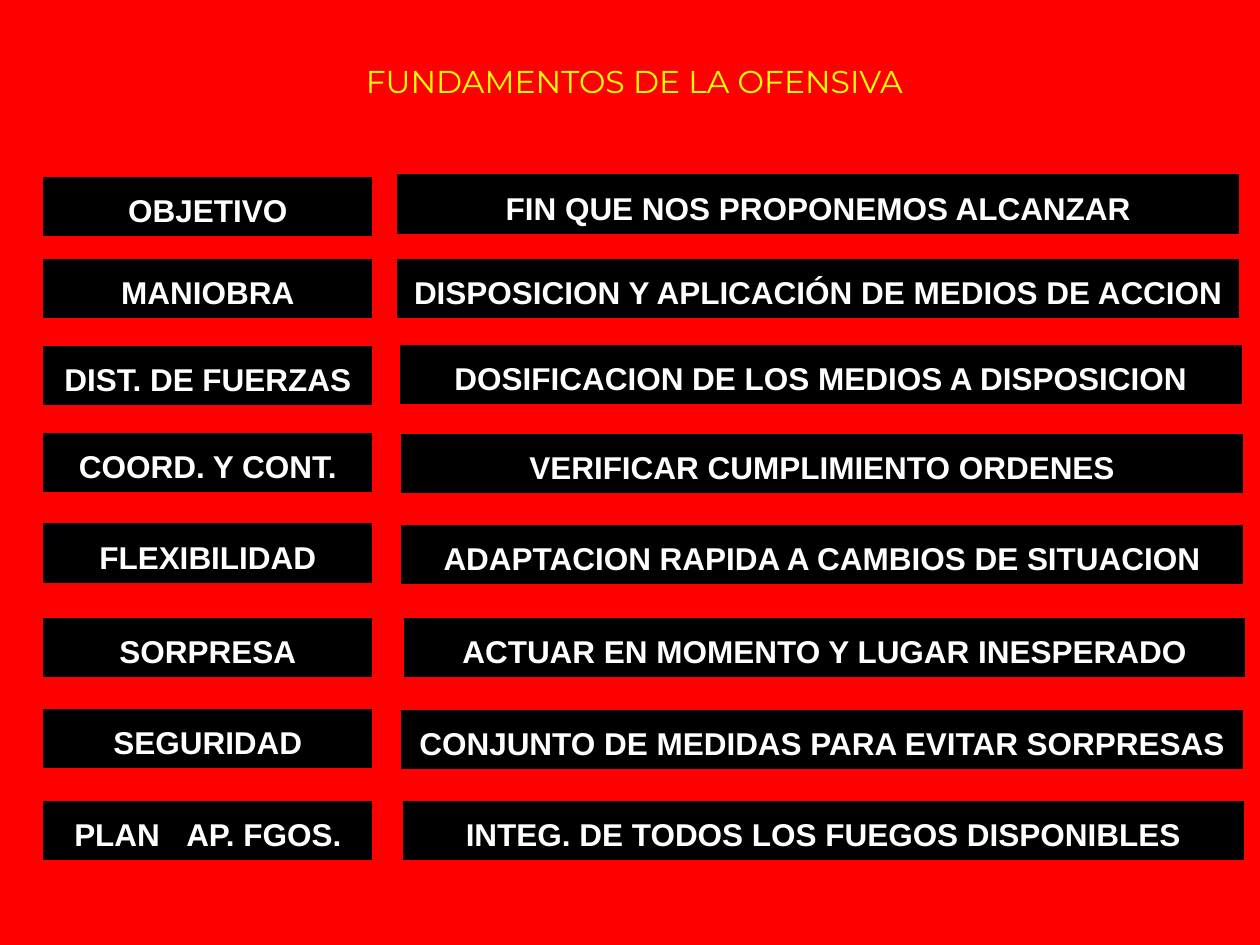
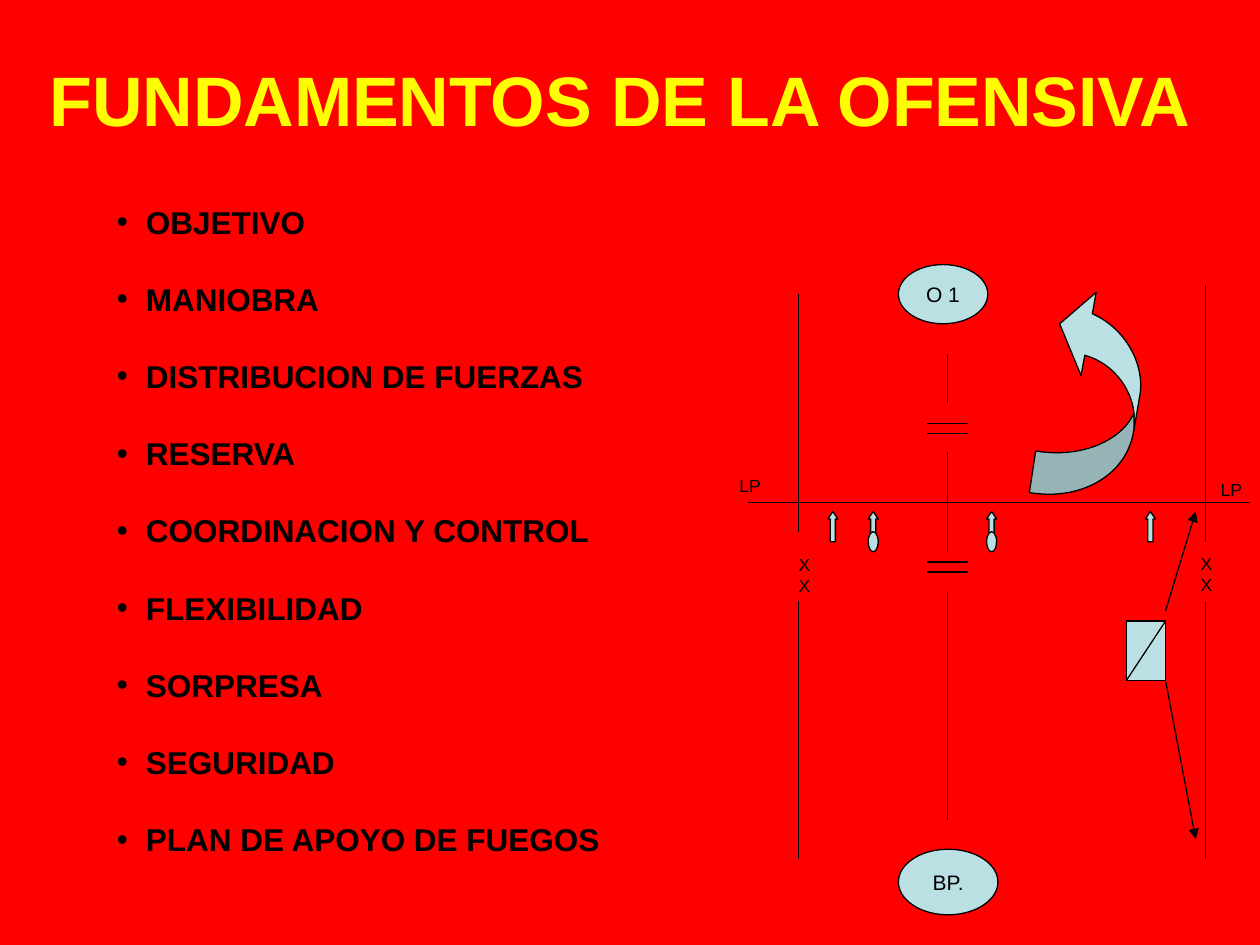
from dataclasses import dataclass

from lxml.etree import SubElement
from pptx import Presentation
from pptx.dml.color import RGBColor
from pptx.enum.shapes import MSO_CONNECTOR, MSO_SHAPE
from pptx.enum.text import MSO_ANCHOR, PP_ALIGN
from pptx.oxml.ns import qn
from pptx.util import Inches, Pt


@dataclass(frozen=True)
class Theme:
    background: str = "FF0000"
    title: str = "FFFF00"
    ink: str = "000000"
    light: str = "FFFFFF"
    symbol: str = "BBE0E3"
    symbol_shade: str = "96B3B6"
    font: str = "Arial"
    display_font: str = "Montserrat"
    headline: int = 40
    body: int = 18
    symbol_text: int = 12
    mark: int = 10
    line: float = 0.75


THEME = Theme()
TITLE = "FUNDAMENTOS DE LA OFENSIVA"

# Term, its top, meaning, its left and top
FUNDAMENTALS = [
    ("OBJETIVO", 1.41, "FIN QUE NOS PROPONEMOS ALCANZAR", 3.16, 1.39),
    ("MANIOBRA", 2.06, "DISPOSICION Y APLICACIÓN DE MEDIOS DE ACCION", 3.16, 2.06),
    ("DIST. DE FUERZAS", 2.75, "DOSIFICACION DE LOS MEDIOS A DISPOSICION", 3.18, 2.74),
    ("COORD. Y CONT.", 3.44, "VERIFICAR CUMPLIMIENTO ORDENES", 3.19, 3.45),
    ("FLEXIBILIDAD", 4.16, "ADAPTACION RAPIDA A CAMBIOS DE SITUACION", 3.19, 4.17),
    ("SORPRESA", 4.91, "ACTUAR EN MOMENTO Y LUGAR INESPERADO", 3.21, 4.91),
    ("SEGURIDAD", 5.63, "CONJUNTO DE MEDIDAS PARA EVITAR SORPRESAS", 3.19, 5.64),
    ("PLAN AP. FGOS.", 6.36, "INTEG. DE TODOS LOS FUEGOS DISPONIBLES", 3.2, 6.36),
]
PRINCIPLES = [
    "OBJETIVO", "MANIOBRA", "DISTRIBUCION DE FUERZAS", "RESERVA",
    "COORDINACION Y CONTROL", "FLEXIBILIDAD", "SORPRESA", "SEGURIDAD",
    "PLAN DE APOYO DE FUEGOS",
]


def color(value):
    return RGBColor.from_string(value)


def add_page(deck):
    page = deck.slides.add_slide(deck.slide_layouts[6])
    page.background.fill.solid()
    page.background.fill.fore_color.rgb = color(THEME.background)
    return page


# Text
def add_span(para, text, size, fill, font, bold):
    span = para.add_run()
    span.text = text
    span.font.size = Pt(size)
    span.font.name = font
    span.font.bold = bold
    span.font.color.rgb = color(fill)
    return span


def write(box, text, size=THEME.body, fill=THEME.ink, font=THEME.font, bold=False,
          align=PP_ALIGN.LEFT, anchor=MSO_ANCHOR.TOP, wrap=False,
          line_spacing=None, space_after=0, bullet_indent=0, first_gap=0):
    """Write one paragraph per line; first_gap widens the first space, in points."""
    frame = box.text_frame
    frame.word_wrap = wrap
    frame.vertical_anchor = anchor
    for index, line in enumerate(text.split("\n")):
        para = frame.add_paragraph() if index else frame.paragraphs[0]
        para.alignment = align
        para.line_spacing = line_spacing
        para.space_after = Pt(space_after)
        if bullet_indent:
            add_bullet(para, bullet_indent)
        for part in line.partition(" ") if first_gap else [line]:
            span = add_span(para, part, size, fill, font, bold)
            if part == " ":
                span.font._element.set("spc", str(first_gap * 100))


def add_bullet(para, indent):
    properties = para._p.get_or_add_pPr()
    properties.set("marL", str(Inches(indent)))
    properties.set("indent", str(-Inches(indent)))
    SubElement(properties, qn("a:buFont")).set("typeface", THEME.font)
    SubElement(properties, qn("a:buChar")).set("char", "•")


def add_text(page, text, left, top, width, height, **text_format):
    box = page.shapes.add_textbox(Inches(left), Inches(top), Inches(width), Inches(height))
    write(box, text, **text_format)


# Shapes and lines
def paint(shape, fill):
    shape.shadow.inherit = False
    shape.fill.solid()
    shape.fill.fore_color.rgb = color(fill)
    shape.line.color.rgb = color(THEME.ink)
    shape.line.width = Pt(THEME.line)


def add_block(page, kind, left, top, width, height, fill=THEME.symbol):
    shape = page.shapes.add_shape(
        kind, Inches(left), Inches(top), Inches(width), Inches(height))
    paint(shape, fill)
    return shape


def add_band(page, text, left, top, width, **text_format):
    band = add_block(page, MSO_SHAPE.RECTANGLE, left, top, width, 0.46, THEME.ink)
    write(band, text, fill=THEME.light, bold=True, align=PP_ALIGN.CENTER,
          line_spacing=1.2, **text_format)


def add_goal(page, text, left, top, width, height):
    goal = add_block(page, MSO_SHAPE.OVAL, left, top, width, height)
    write(goal, text, size=THEME.symbol_text, align=PP_ALIGN.CENTER,
          anchor=MSO_ANCHOR.MIDDLE)


def add_line(page, start, end, arrow=False):
    points = [Inches(value) for value in (*start, *end)]
    line = page.shapes.add_connector(MSO_CONNECTOR.STRAIGHT, *points)
    line.line.color.rgb = color(THEME.ink)
    line.line.width = Pt(THEME.line)
    if arrow:
        SubElement(line.line._get_or_add_ln(), qn("a:tailEnd")).set("type", "triangle")
    SubElement(line._element.spPr, qn("a:effectLst"))


def curve(start, first, second, end, steps=24):
    """Return points along a cubic curve, both ends included."""
    points = []
    for step in range(steps + 1):
        t = step / steps
        weights = ((1 - t) ** 3, 3 * t * (1 - t) ** 2, 3 * t ** 2 * (1 - t), t ** 3)
        points.append(tuple(
            sum(weight * value for weight, value in zip(weights, values))
            for values in zip(start, first, second, end)))
    return points


def add_outline(page, points, fill):
    scaled = [(Inches(x), Inches(y)) for x, y in points]
    builder = page.shapes.build_freeform(*scaled[0])
    builder.add_line_segments(scaled[1:], close=True)
    paint(builder.convert_to_shape(), fill)


# Parts of the manoeuvre sketch
def add_flanking_arrow(page):
    fold, inner = (9, 3.41), (9, 3.28)
    tail = [
        *curve((8.17, 3.91), (8.58, 3.98), (8.95, 3.77), fold),
        *curve(inner, (8.9, 3.5), (8.58, 3.64), (8.22, 3.58)),
    ]
    head = [
        fold,
        *curve((9.05, 3.12), (9.08, 2.87), (8.92, 2.6), (8.67, 2.49)),
        (8.7, 2.32), (8.41, 2.57), (8.58, 2.98),
        *curve((8.61, 2.82), (8.83, 2.88), (8.98, 3.08), inner),
    ]
    add_outline(page, head, THEME.symbol)
    add_outline(page, tail, THEME.symbol_shade)


def add_boundaries(page):
    # Outer limits, the line of departure and the dashed centre limit
    uprights = [
        (6.34, 2.33, 4.22), (6.34, 4.77, 6.82), (9.57, 2.26, 4.3), (9.57, 4.77, 6.82),
        (7.52, 2.81, 3.2), (7.52, 3.59, 3.99), (7.52, 3.99, 4.38), (7.52, 4.7, 6.51),
    ]
    for x, top, bottom in uprights:
        add_line(page, (x, top), (x, bottom))
    add_line(page, (5.94, 3.99), (9.92, 3.99))
    for y in (3.36, 3.44, 4.46, 4.54):
        add_line(page, (7.36, y), (7.68, y))

    # Unit marks and line names
    for left, top in ((6.24, 4.35), (9.43, 4.34)):
        add_text(page, "X\nX", left, top, 0.29, 0.44, size=THEME.mark)
    for left, top in ((5.77, 3.72), (9.59, 3.75)):
        add_text(page, "LP", left, top, 0.37, 0.27, size=THEME.mark)


def add_troops(page):
    for left in (6.57, 6.89, 7.83, 9.09):
        advance = add_block(page, MSO_SHAPE.UP_ARROW, left, 4.06, 0.08, 0.24)
        advance.adjustments[0] = 0.5
        advance.adjustments[1] = 0.74
    for left in (6.89, 7.83):
        add_block(page, MSO_SHAPE.OVAL, left, 4.22, 0.08, 0.16)

    # Cavalry unit covering the right flank
    add_block(page, MSO_SHAPE.RECTANGLE, 8.94, 4.93, 0.31, 0.47)
    add_line(page, (9.25, 4.93), (8.94, 5.4))
    add_line(page, (9.25, 4.85), (9.49, 4.06), arrow=True)
    add_line(page, (9.25, 5.4), (9.49, 6.66), arrow=True)


# Slides
def build_definitions(deck):
    page = add_page(deck)
    for term, term_top, meaning, meaning_left, meaning_top in FUNDAMENTALS:
        gap = 10 if term.startswith("PLAN") else 0
        add_band(page, term, 0.35, term_top, 2.6, first_gap=gap)
        add_band(page, meaning, meaning_left, meaning_top, 6.67)
    add_text(page, TITLE, 0.43, 0.44, 9.21, 0.47, fill=THEME.title,
             font=THEME.display_font, align=PP_ALIGN.CENTER)


def build_sketch(deck):
    page = add_page(deck)
    add_text(page, TITLE, 0.26, 0.4, 9.32, 0.77, size=THEME.headline,
             fill=THEME.title, bold=True, align=PP_ALIGN.CENTER)
    add_text(page, "\n".join(PRINCIPLES), 0.83, 1.56, 4.33, 5.2, bold=True,
             wrap=True, space_after=22.5, bullet_indent=0.23)
    add_goal(page, "O 1", 7.13, 2.1, 0.71, 0.47)
    add_boundaries(page)
    add_flanking_arrow(page)
    add_goal(page, "BP.", 7.13, 6.74, 0.79, 0.52)
    add_troops(page)


def main():
    deck = Presentation()
    deck.slide_width = Inches(10)
    deck.slide_height = Inches(7.5)
    build_definitions(deck)
    build_sketch(deck)
    deck.save("out.pptx")


if __name__ == "__main__":
    main()
